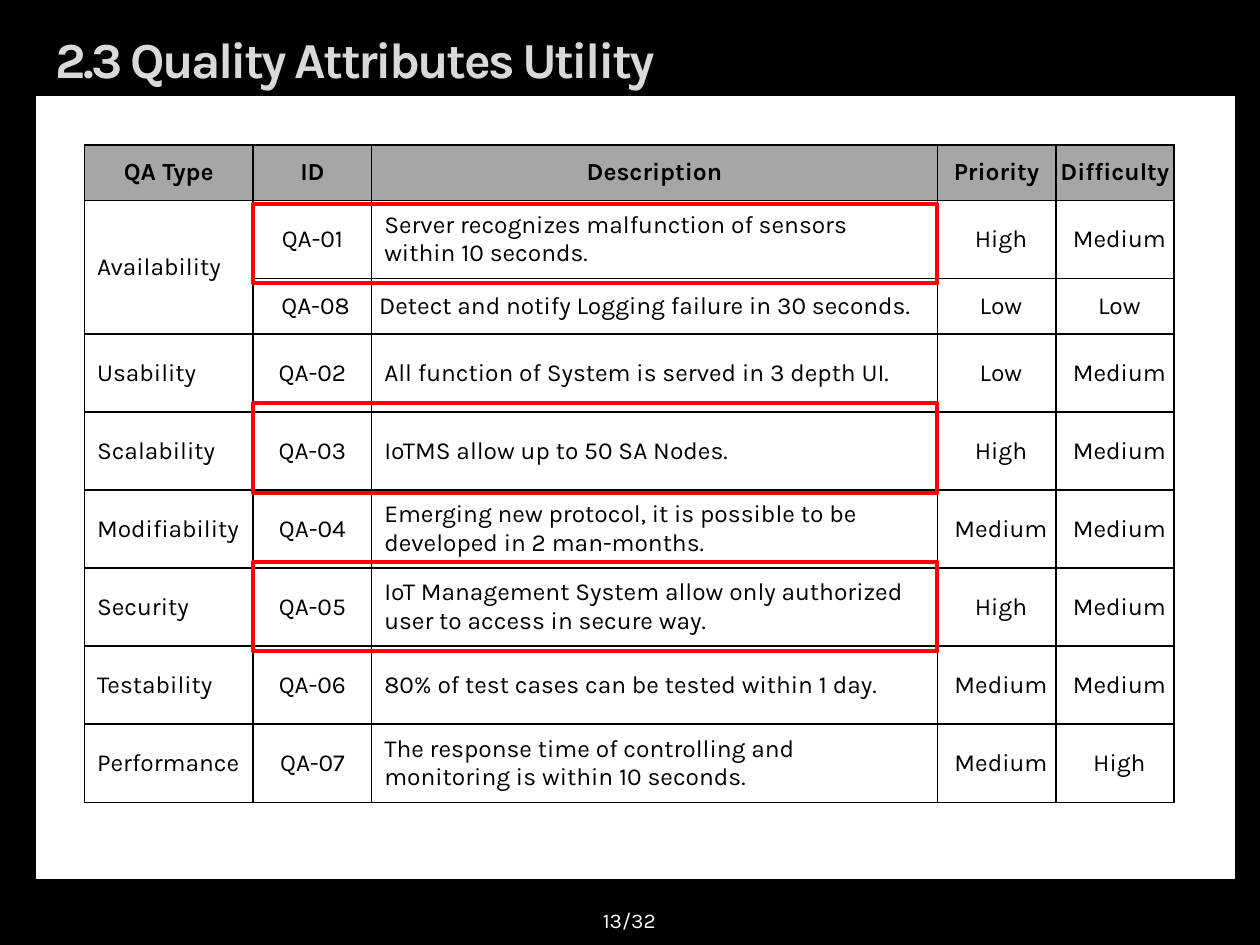
from lxml.etree import SubElement
from pptx import Presentation
from pptx.dml.color import RGBColor
from pptx.enum.shapes import MSO_SHAPE as Preset
from pptx.enum.text import MSO_ANCHOR as Anchor, MSO_AUTO_SIZE as AutoSize, PP_ALIGN as Align
from pptx.oxml.ns import qn
from pptx.util import Inches, Pt

BLACK = RGBColor(0x00, 0x00, 0x00)
WHITE = RGBColor(0xFF, 0xFF, 0xFF)
LIGHT_GRAY = RGBColor(0xD9, 0xD9, 0xD9)
HEADER_GRAY = RGBColor(0xA6, 0xA6, 0xA6)
RED = RGBColor(0xFF, 0x00, 0x00)

COLUMN_WIDTHS = [1.34, 0.94, 4.49, 0.94, 0.94]
SHORT_ROW, TALL_ROW = 0.44, 0.62
SHORT_ROWS = (0, 2)
LOGGING_ROW = 2
ROWS = [
    ("QA Type", "ID", "Description", "Priority", "Difficulty"),
    ("Availability", "QA-01", "Server recognizes malfunction of sensors within 10 seconds.", "High", "Medium"),
    ("", "QA-08", "Detect and notify Logging failure\u00a0in 30 seconds.", "Low", "Low"),
    ("Usability", "QA-02", "All function of System is served in 3 depth UI.", "Low", "Medium"),
    ("Scalability", "QA-03", "IoTMS allow up to 50 SA Nodes.", "High", "Medium"),
    ("Modifiability", "QA-04", "Emerging new protocol, it is possible to be developed in 2 man-months.", "Medium", "Medium"),
    ("Security", "QA-05", "IoT Management System allow only authorized user to access in secure way.", "High", "Medium"),
    ("Testability", "QA-06", "80% of test cases can be tested within 1 day.", "Medium", "Medium"),
    ("Performance", "QA-07", "The response time of controlling and monitoring is within 10 seconds.", "Medium", "High"),
]
HIGHLIGHTS = [(1.62, 0.63), (3.2, 0.71), (4.46, 0.71)]


class SlideBuilder:
    font_name = "Karla"

    def __init__(self, slide):
        self.slide = slide
        slide.background.fill.solid()
        slide.background.fill.fore_color.rgb = BLACK

    def style(self, paragraph, size, color, align=Align.LEFT, bold=False):
        paragraph.alignment = align
        font = paragraph.font
        font.name, font.size, font.bold = self.font_name, Pt(size), bold
        font.color.rgb = color

    def title(self, text, left, top, width, height):
        shape = self.slide.shapes.title
        shape.left, shape.top = Inches(left), Inches(top)
        shape.width, shape.height = Inches(width), Inches(height)
        frame = shape.text_frame
        frame.text = text
        frame.vertical_anchor = Anchor.MIDDLE
        frame.auto_size = AutoSize.NONE
        paragraph = frame.paragraphs[0]
        self.style(paragraph, 28.8, LIGHT_GRAY, bold=True)
        paragraph.runs[0].font._element.set("spc", "-150")

    def text(self, text, left, top, width, height):
        box = self.slide.shapes.add_textbox(Inches(left), Inches(top), Inches(width), Inches(height))
        frame = box.text_frame
        frame.word_wrap = True
        frame.vertical_anchor = Anchor.MIDDLE
        frame.text = text
        self.style(frame.paragraphs[0], 12, WHITE, Align.CENTER)

    def rectangle(self, left, top, width, height, line, line_width, fill=None):
        shape = self.slide.shapes.add_shape(
            Preset.RECTANGLE, Inches(left), Inches(top), Inches(width), Inches(height))
        shape.shadow.inherit = False
        if fill is None:
            shape.fill.background()
        else:
            shape.fill.solid()
            shape.fill.fore_color.rgb = fill
        shape.line.color.rgb = line
        shape.line.width = Pt(line_width)

    def borders(self, cell):
        properties = cell._tc.get_or_add_tcPr()
        for position, side in enumerate(("lnL", "lnR", "lnT", "lnB")):
            line = SubElement(properties, qn(f"a:{side}"), w=str(Pt(1)))
            fill = SubElement(line, qn("a:solidFill"))
            SubElement(fill, qn("a:srgbClr"), val=str(BLACK))
            properties.insert(position, line)

    def cell(self, cell, text, row, column):
        header = row == 0
        cell.fill.solid()
        cell.fill.fore_color.rgb = HEADER_GRAY if header else WHITE
        self.borders(cell)
        cell.vertical_anchor = Anchor.MIDDLE
        cell.text = text
        paragraph = cell.text_frame.paragraphs[0]
        align = Align.CENTER if header or column not in (0, 2) else Align.LEFT
        self.style(paragraph, 14, BLACK, align, header)
        if column > 2:
            cell.margin_left = cell.margin_right = cell.margin_top = cell.margin_bottom = 0
            if not header:
                paragraph.space_after = Pt(2)
                paragraph._p.get_or_add_pPr().set("indent", str(Inches(0.07)))
        elif row == LOGGING_ROW and column > 0:
            cell.margin_left = Inches(0.06)
            cell.margin_right = cell.margin_top = Inches(0.01)
            cell.margin_bottom = 0

    def table(self, rows, left, top):
        heights = [SHORT_ROW if row in SHORT_ROWS else TALL_ROW for row in range(len(rows))]
        table = self.slide.shapes.add_table(
            len(rows), len(COLUMN_WIDTHS), Inches(left), Inches(top),
            Inches(sum(COLUMN_WIDTHS)), Inches(sum(heights))).table
        table.horz_banding = False
        for column, width in zip(table.columns, COLUMN_WIDTHS):
            column.width = Inches(width)
        for row, height in zip(table.rows, heights):
            row.height = Inches(height)
        for row, texts in enumerate(rows):
            for column, text in enumerate(texts):
                self.cell(table.cell(row, column), text, row, column)
        table.cell(1, 0).merge(table.cell(2, 0))


def main():
    presentation = Presentation()
    presentation.slide_width, presentation.slide_height = Inches(10), Inches(7.5)
    builder = SlideBuilder(presentation.slides.add_slide(presentation.slide_layouts[5]))
    builder.rectangle(0.28, 0.76, 9.53, 6.22, BLACK, 0.75, WHITE)
    builder.title("2.3 Quality Attributes Utility", 0.34, 0.21, 9.14, 0.51)
    builder.text("13/32", 3.83, 7.1, 2.33, 0.4)
    builder.table(ROWS, 0.67, 1.15)
    for top, height in HIGHLIGHTS:
        builder.rectangle(2.01, top, 5.43, height, RED, 2.25)
    presentation.save("out.pptx")


if __name__ == "__main__":
    main()
